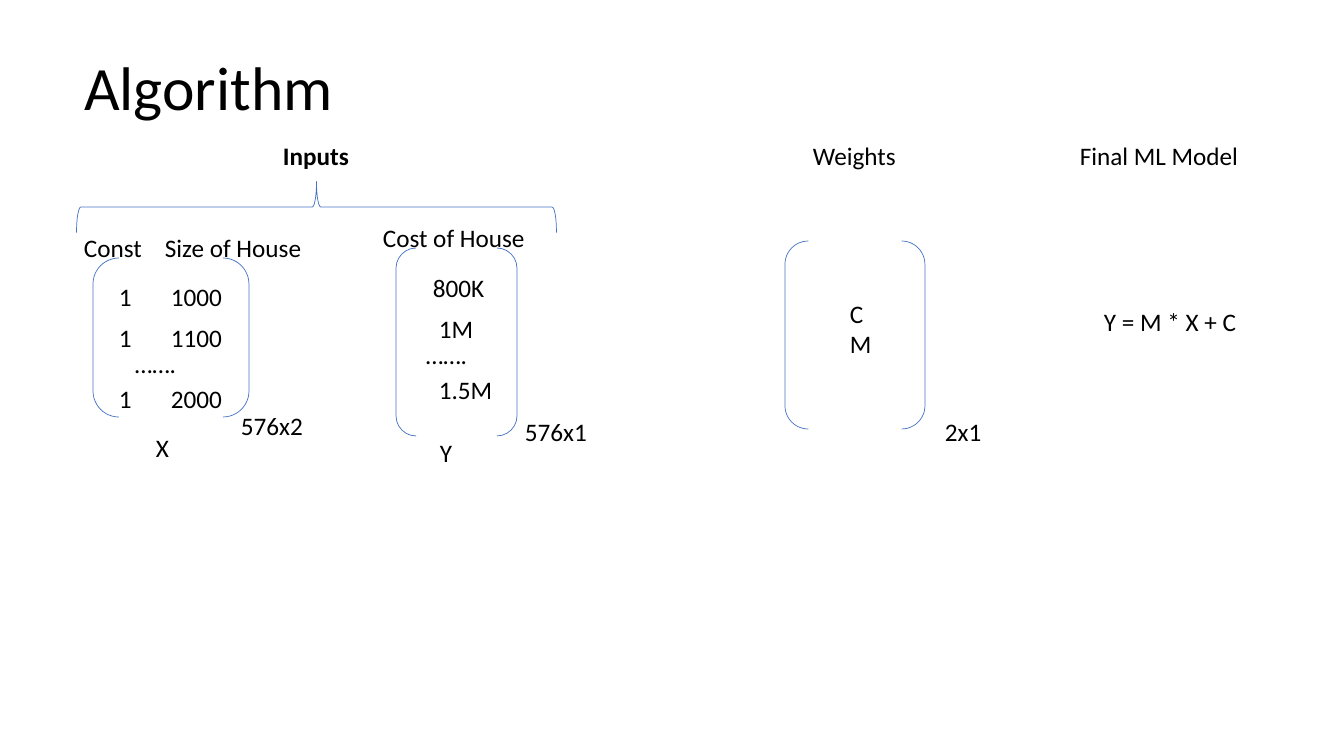
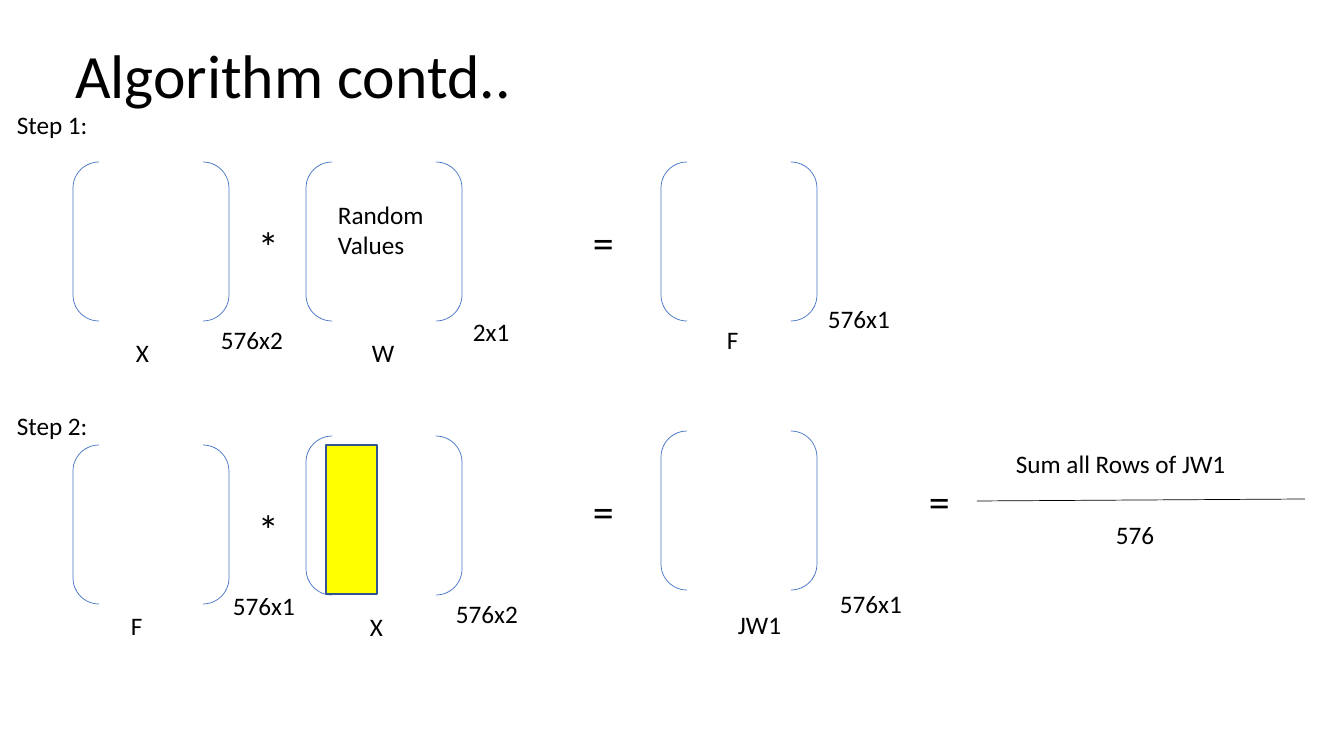
import pptx
import pptx.dml.color
import pptx.enum.shapes
import pptx.enum.text
import pptx.oxml
import pptx.oxml.ns
import pptx.util

PIXEL = 914400 / 100.8
FONT = "Calibri"
BLACK = pptx.dml.color.RGBColor(0x00, 0x00, 0x00)
BLUE = pptx.dml.color.RGBColor(0x44, 0x72, 0xC4)
DARK_BLUE = pptx.dml.color.RGBColor(0x32, 0x54, 0x91)
YELLOW = pptx.dml.color.RGBColor(0xFF, 0xFF, 0x00)
SHAPES = pptx.enum.shapes.MSO_SHAPE

BODY_SIZE, OPERATOR_SIZE, TITLE_SIZE = 18, 30, 44
LINE_HEIGHT = 40
HEADING_TOP = 135
MATRIX_SIZE = (156, 159)


def emu(*pixels):
    """Turn pixel lengths into EMU."""
    return [pptx.util.Emu(round(pixel * PIXEL)) for pixel in pixels]


def format_text(text_frame, size, bold=False):
    """Give every run the shared font and colour."""
    for paragraph in text_frame.paragraphs:
        for run in paragraph.runs:
            run.font.name = FONT
            run.font.size = pptx.util.Pt(size)
            run.font.bold = bold
            run.font.color.rgb = BLACK


def add_titled_slide(presentation, title, left, top):
    """Add a title-only slide with its title moved into place."""
    slide = presentation.slides.add_slide(presentation.slide_layouts[5])
    shape = slide.shapes.title
    shape.left, shape.top, shape.width, shape.height = emu(left, top, 1159, 146)
    text_frame = shape.text_frame
    text_frame.text = title
    text_frame.vertical_anchor = pptx.enum.text.MSO_ANCHOR.MIDDLE
    text_frame.paragraphs[0].alignment = pptx.enum.text.PP_ALIGN.LEFT
    text_frame.paragraphs[0].line_spacing = 0.9
    format_text(text_frame, TITLE_SIZE)
    return slide


def add_text(slide, text, left, top, width, height=LINE_HEIGHT, size=BODY_SIZE,
             bold=False, indent=0, tab=0, wrap=True):
    """Add a text box, with an optional left indent or tab stop."""
    shape = slide.shapes.add_textbox(*emu(left, top, width, height))
    text_frame = shape.text_frame
    text_frame.word_wrap = wrap
    text_frame.auto_size = pptx.enum.text.MSO_AUTO_SIZE.SHAPE_TO_FIT_TEXT
    text_frame.text = text
    format_text(text_frame, size, bold)
    for paragraph in text_frame.paragraphs:
        properties = paragraph._p.get_or_add_pPr()
        if indent:
            properties.set("marL", str(emu(indent)[0]))
            properties.set("indent", "0")
        if tab:
            properties.append(pptx.oxml.parse_xml(
                f'<a:tabLst {pptx.oxml.ns.nsdecls("a")}>'
                f'<a:tab pos="{emu(tab)[0]}" algn="l"/></a:tabLst>'))


def add_outline(slide, kind, box, color=BLUE, weight=0.5, fill=None):
    """Add an outlined preset shape, unfilled unless a fill is given."""
    shape = slide.shapes.add_shape(kind, *emu(*box))
    shape.shadow.inherit = False
    shape.line.color.rgb = color
    shape.line.width = pptx.util.Pt(weight)
    if fill is None:
        shape.fill.background()
    else:
        shape.fill.solid()
        shape.fill.fore_color.rgb = fill
    return shape


def add_matrix(slide, box, name, dimensions):
    """Add matrix brackets with their name and dimension labels."""
    add_outline(slide, SHAPES.DOUBLE_BRACKET, box)
    add_text(slide, *name)
    add_text(slide, *dimensions)


def add_column(slide, left, top, rows, tab=0):
    """Add matrix rows of (text, indent), with dots before the last."""
    for (text, indent), offset in zip(rows, (0, 41, 102)):
        add_text(slide, text, left, top + offset, 140, indent=indent, tab=tab)
    add_text(slide, "…….", left + 16, top + 67, 140)


def add_operator(slide, symbol, left, top):
    """Add a large operator sign."""
    add_text(slide, symbol, left, top, 78, 61, OPERATOR_SIZE, indent=19)


def add_line(slide, start, end):
    """Add a thin black line."""
    connector = slide.shapes.add_connector(
        pptx.enum.shapes.MSO_CONNECTOR.STRAIGHT, *emu(*start, *end))
    connector.line.color.rgb = BLACK
    connector.line.width = pptx.util.Pt(0.5)
    connector._element.spPr.append(pptx.oxml.parse_xml(
        f'<a:effectLst {pptx.oxml.ns.nsdecls("a")}/>'))


def build_algorithm(presentation):
    """Build the slide of inputs, weights and model."""
    slide = add_titled_slide(presentation, "Algorithm", 74, 18)

    add_text(slide, "Inputs", 273, HEADING_TOP, 509, bold=True)
    add_text(slide, "Weights", 803, HEADING_TOP, 217)
    add_text(slide, "Final ML Model", 1070, HEADING_TOP, 239)
    brace = add_outline(slide, SHAPES.RIGHT_BRACE, (291, -33, 51, 480))
    brace.rotation = 270

    add_matrix(slide, (93, 258, *MATRIX_SIZE),
               ("X", 146, 427, 156), ("576x2", 231, 405, 103))
    add_text(slide, "Const\tSize of House", 74, 227, 243, tab=81)
    add_column(slide, 109, 276,
               [("1\t1000", 0), ("1\t1100", 0), ("1\t2000", 0)], tab=52)

    add_matrix(slide, (396, 248, 121, 188),
               ("Y", 430, 432, 156), ("576x1", 515, 411, 103))
    add_text(slide, "Cost of House", 373, 217, 192)
    add_column(slide, 400, 267, [("800K", 23), ("1M", 29), ("1.5M", 29)])

    add_outline(slide, SHAPES.DOUBLE_BRACKET, (785, 241, 140, 188))
    add_text(slide, "C\nM", 794, 293, 140, 72, indent=46)
    add_text(slide, "2x1", 912, 411, 140, indent=23)
    add_text(slide, "Y = M * X + C", 1094, 301, 154, wrap=False)


def build_steps(presentation):
    """Build the slide of the two matrix steps."""
    slide = add_titled_slide(presentation, "Algorithm contd..", 65, 6)
    left_x, middle_x, right_x = 73, 306, 661

    matrices = [
        (left_x, 162, ("X", 126, 332, 156), ("576x2", 211, 319, 120)),
        (middle_x, 162, ("W", 362, 332, 156), ("2x1", 463, 311, 120)),
        (right_x, 162, ("F", 717, 319, 82), ("576x1", 818, 298, 120)),
        (left_x, 445, ("F", 121, 605, 82), ("576x1", 223, 585, 120)),
        (middle_x, 436, ("X", 360, 606, 156), ("576x2", 446, 593, 120)),
        (right_x, 431, ("JW1", 728, 604, 82), ("576x1", 830, 583, 120)),
    ]
    for left, top, name, dimensions in matrices:
        add_matrix(slide, (left, top, *MATRIX_SIZE), name, dimensions)

    for symbol, left, top in [("*", 229, 216), ("=", 564, 212), ("*", 229, 499),
                              ("=", 564, 481), ("=", 900, 471)]:
        add_operator(slide, symbol, left, top)

    add_text(slide, "Step 1:", 7, 104, 222)
    add_text(slide, "Step 2:", 7, 405, 222)
    add_text(slide, "Random Values", 328, 194, 124, 72)
    add_outline(slide, SHAPES.RECTANGLE, (326, 445, 51, 149),
                DARK_BLUE, 1, YELLOW)

    add_text(slide, "Sum all Rows of JW1", 1006, 443, 245)
    add_line(slide, (977, 501), (1305, 499))
    add_text(slide, "576", 1100, 514, 245, indent=6)


def main():
    """Build and save the presentation."""
    presentation = pptx.Presentation()
    presentation.slide_width, presentation.slide_height = emu(1344, 756)
    build_algorithm(presentation)
    build_steps(presentation)
    presentation.save("out.pptx")


main()
